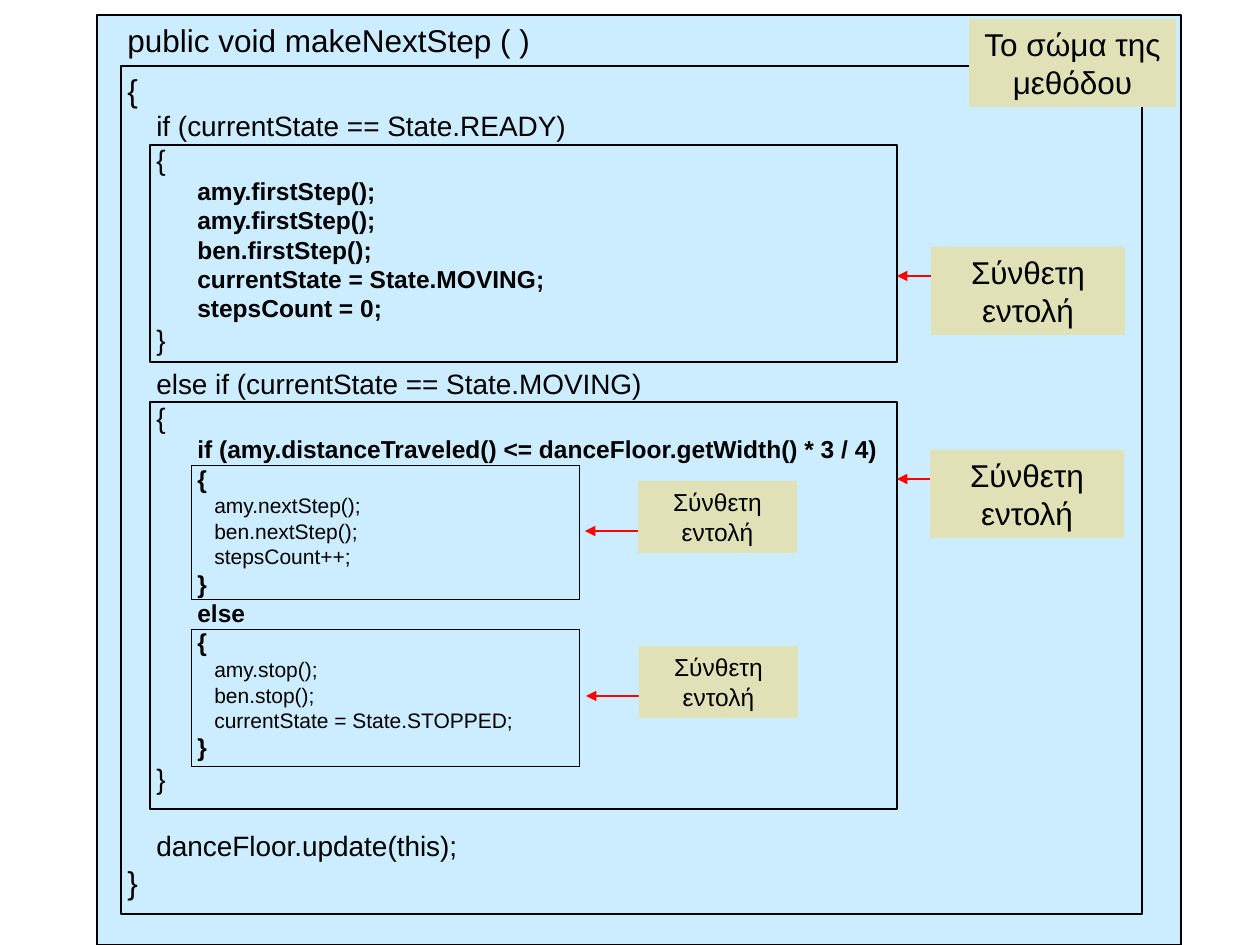
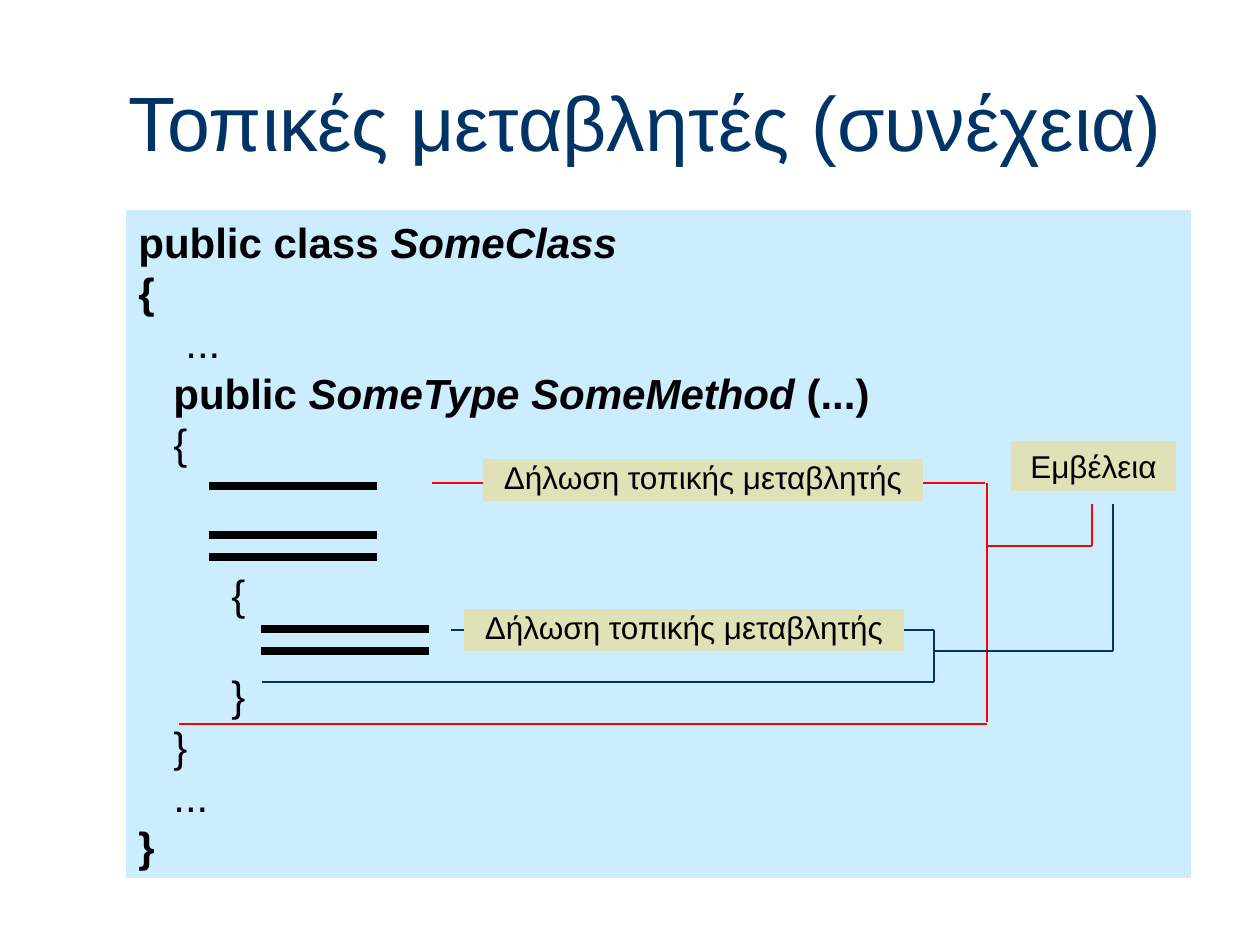
import pptx
import pptx.dml.color
import pptx.enum.shapes
import pptx.enum.text
import pptx.oxml
import pptx.oxml.ns
import pptx.util
from lxml import etree

RGBColor = pptx.dml.color.RGBColor
BLACK = RGBColor(0, 0, 0)
NAVY = RGBColor(0x00, 0x33, 0x66)
RED = RGBColor(0xFF, 0x00, 0x00)
SKY = RGBColor(0xCC, 0xEC, 0xFF)
SAND = RGBColor(0xE1, 0xE1, 0xB7)

FONT = "Arial"
SCALE = 914400 / 126
LEADING = 1.2
TITLE_ONLY, BLANK = 5, 6
TOP, LEFT, BOTTOM, RIGHT = range(4)
ALIGN = pptx.enum.text.PP_ALIGN


def px(length):
    return pptx.util.Emu(round(length * SCALE))


def write_span(para, text, size=18, bold=False, italic=False, color=BLACK):
    span = para.add_run()
    span.text = text
    span.font.name = FONT
    span.font.size = pptx.util.Pt(size)
    span.font.bold = bold
    span.font.italic = italic
    span.font.color.rgb = color


def write_line(frame, spans, size=18, indent=0, before=0, leading=LEADING, align=ALIGN.LEFT):
    para = frame.paragraphs[0]
    if para.runs:
        para = frame.add_paragraph()
    para.alignment = align
    para.space_before = pptx.util.Pt(before)
    para.line_spacing = pptx.util.Pt(round(size * leading, 1))
    properties = para._p.get_or_add_pPr()
    properties.set("marL", str(px(indent)))
    properties.set("indent", "0")
    for text, style in spans:
        write_span(para, text, size=size, **style)


def add_box(page, left, top, width, height, fill=None, line=None):
    box = page.shapes.add_shape(
        pptx.enum.shapes.MSO_SHAPE.RECTANGLE, px(left), px(top), px(width), px(height))
    box.shadow.inherit = False
    if fill is None:
        box.fill.background()
    else:
        box.fill.solid()
        box.fill.fore_color.rgb = fill
    if line is None:
        box.line.fill.background()
    else:
        box.line.color.rgb = BLACK
        box.line.width = pptx.util.Pt(line)
    box.text_frame.word_wrap = True
    box.text_frame.vertical_anchor = pptx.enum.text.MSO_ANCHOR.TOP
    return box


def add_label(page, text, left, top, width, height, size=18, leading=LEADING):
    label = add_box(page, left, top, width, height, fill=SAND)
    write_line(label.text_frame, [(text, {})], size=size, leading=leading, align=ALIGN.CENTER)
    return label


def add_line(page, x1, y1, x2, y2, color=BLACK, weight=0.75, arrow=False):
    line = page.shapes.add_connector(
        pptx.enum.shapes.MSO_CONNECTOR.STRAIGHT, px(x1), px(y1), px(x2), px(y2))
    line.line.color.rgb = color
    line.line.width = pptx.util.Pt(weight)
    qn = pptx.oxml.ns.qn
    if arrow:
        etree.SubElement(line.line._get_or_add_ln(), qn("a:tailEnd"), type="triangle")
    etree.SubElement(line._element.spPr, qn("a:effectLst"))
    return line


def add_title(page, text):
    title = page.shapes.title
    title.left, title.top, title.width, title.height = px(116), px(42), px(1071), px(158)
    frame = title.text_frame
    frame.auto_size = pptx.enum.text.MSO_AUTO_SIZE.NONE
    frame.vertical_anchor = pptx.enum.text.MSO_ANCHOR.MIDDLE
    write_line(frame, [(text, {"color": NAVY})], size=44)


def build_method_page(deck):
    page = deck.slides.add_slide(deck.slide_layouts[BLANK])
    method = add_box(page, 97, 15, 1084, 930, fill=SKY, line=0.75)

    outer = {"size": 18, "indent": 18}
    branch = {"size": 16, "indent": 47}
    command = {"size": 14, "indent": 88}
    nested = {"size": 12, "indent": 105}
    code = [
        ("public void makeNextStep ( )", outer, 0),
        ("{", outer, 6.8),
        ("if (currentState == State.READY)", branch, 0),
        ("{", branch, 0),
        ("amy.firstStep();", command, 0),
        ("amy.firstStep();", command, 0),
        ("ben.firstStep();", command, 0),
        ("currentState = State.MOVING;", command, 0),
        ("stepsCount = 0;", command, 0),
        ("}", branch, 0),
        ("else if (currentState == State.MOVING)", branch, 6),
        ("{", branch, 0),
        ("if (amy.distanceTraveled() <= danceFloor.getWidth() * 3 / 4)", command, 0),
        ("{", command, 0),
        ("amy.nextStep();", nested, 0),
        ("ben.nextStep();", nested, 0),
        ("stepsCount++;", nested, 0),
        ("}", command, 0),
        ("else", command, 0),
        ("{", command, 0),
        ("amy.stop();", nested, 0),
        ("ben.stop();", nested, 0),
        ("currentState = State.STOPPED;", nested, 0),
        ("}", command, 0),
        ("}", branch, 0),
        ("danceFloor.update(this);", branch, 16 * LEADING),
        ("}", outer, 0),
    ]
    for text, level, before in code:
        write_line(method.text_frame, [(text, {"bold": level is command})],
                   before=before, **level)

    add_box(page, 121, 66, 1021, 848, line=1.5)
    for top, height in ((145, 217), (402, 407)):
        add_box(page, 150, top, 747, height, line=1)
    for top, height in ((465, 135), (629, 138)):
        add_box(page, 192, top, 388, height, line=0.5)

    add_label(page, "Το σώμα της μεθόδου", 969, 19, 207, 88)
    for left, top in ((931, 247), (930, 450)):
        add_line(page, left, top + 29, 897, top + 29, color=RED, arrow=True)
        add_label(page, "Σύνθετη εντολή", left, top, 194, 88)
    for left, top in ((638, 481), (639, 646)):
        add_line(page, left, top + 50, left - 53, top + 50, color=RED, arrow=True)
        add_label(page, "Σύνθετη εντολή", left, top, 159, 72, size=14)


def build_scope_page(deck):
    page = deck.slides.add_slide(deck.slide_layouts[TITLE_ONLY])
    add_title(page, "Τοπικές μεταβλητές (συνέχεια)")

    bold, name, plain = {"bold": True}, {"bold": True, "italic": True}, {}
    line_height = 24 * LEADING
    code = [
        ([("public class ", bold), ("SomeClass", name)], 0, 0),
        ([("{", bold)], 0, 0),
        ([("...", plain)], 47, 0),
        ([("public ", bold), ("SomeType SomeMethod ", name), ("(...)", bold)], 35, 0),
        ([("{", plain)], 35, 0),
        ([("{", plain)], 93, 2 * line_height),
        ([("}", plain)], 93, line_height),
        ([("}", plain)], 35, 0),
        ([("...", plain)], 35, 0),
        ([("}", bold)], 0, 0),
    ]
    listing = add_box(page, 126, 210, 1065, 668, fill=SKY)
    for spans, indent, before in code:
        write_line(listing.text_frame, spans, size=24, indent=indent, before=before)

    for left, y in ((209, 486), (209, 535), (209, 557), (261, 629), (261, 651)):
        add_line(page, left, y, left + 168, y, weight=4.5)

    scope_lines = {
        RED: [(432, 483, 985, 483), (987, 483, 987, 722), (987, 724, 179, 724),
              (987, 546, 1092, 546), (1092, 504, 1092, 546)],
        NAVY: [(934, 630, 934, 682), (262, 682, 934, 682),
               (934, 651, 1113, 651), (1113, 504, 1113, 651)],
    }
    for color, lines in scope_lines.items():
        for ends in lines:
            add_line(page, *ends, color=color)

    add_label(page, "Εμβέλεια", 1011, 441, 165, 50)
    declaration = "Δήλωση τοπικής μεταβλητής"
    add_label(page, declaration, 483, 459, 440, 42, leading=0.96)
    inner = add_label(page, declaration, 464, 609, 440, 42, leading=0.96)
    add_line(page, 451, 630, 464, 630, color=NAVY).end_connect(inner, LEFT)
    add_line(page, 904, 630, 934, 630, color=NAVY).begin_connect(inner, RIGHT)


def main():
    deck = pptx.Presentation()
    deck.slide_width, deck.slide_height = px(1260), px(945)
    build_method_page(deck)
    build_scope_page(deck)
    deck.save("out.pptx")


if __name__ == "__main__":
    main()
